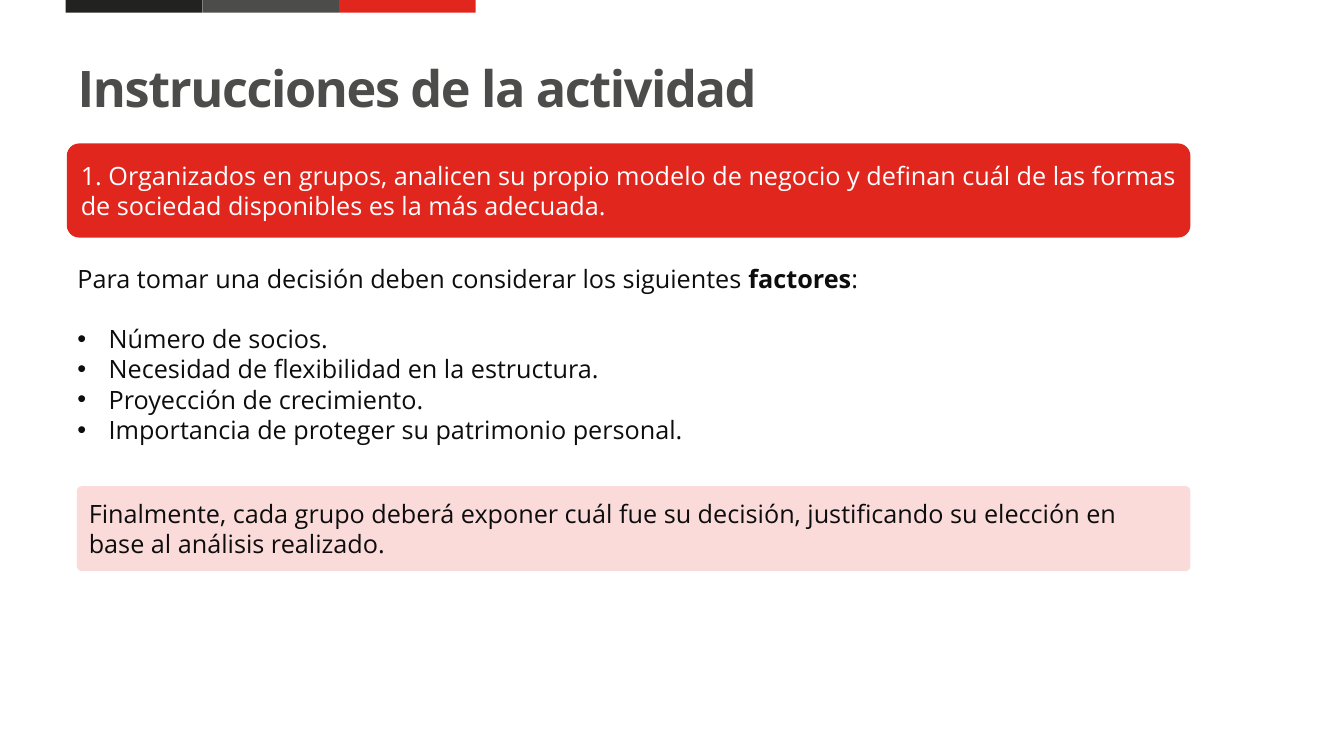
from lxml import etree
from pptx import Presentation
from pptx.dml.color import RGBColor
from pptx.enum.shapes import MSO_SHAPE
from pptx.enum.text import MSO_ANCHOR, MSO_AUTO_SIZE, PP_ALIGN
from pptx.oxml.ns import qn
from pptx.util import Inches, Pt

RECTANGLE, ROUNDED = MSO_SHAPE.RECTANGLE, MSO_SHAPE.ROUNDED_RECTANGLE
TOP, MIDDLE = MSO_ANCHOR.TOP, MSO_ANCHOR.MIDDLE
LEFT, JUSTIFY = PP_ALIGN.LEFT, PP_ALIGN.JUSTIFY
GROW = MSO_AUTO_SIZE.SHAPE_TO_FIT_TEXT

BLACK = RGBColor(0x22, 0x22, 0x20)
GRAY = RGBColor(0x4C, 0x4C, 0x4B)
RED = RGBColor(0xE1, 0x26, 0x1E)
PINK = RGBColor(0xFA, 0xDB, 0xDA)
INK = RGBColor(0x0D, 0x0D, 0x0D)
WHITE = RGBColor(0xFF, 0xFF, 0xFF)

WIDTH, HEIGHT = Inches(13.33), Inches(7.5)
COLUMNS, ROWS = 40, 60
MARGIN = 2.01


class ActivitySlide:
    font_name = "Open Sans"
    body_size = 18

    def __init__(self, presentation):
        self.slide = presentation.slides.add_slide(presentation.slide_layouts[5])

    def area(self, column, row, columns, rows):
        """Turn grid columns and rows into left, top, width and height."""
        across, down = WIDTH / COLUMNS, HEIGHT / ROWS
        return (round(column * across), round(row * down),
                round(columns * across), round(rows * down))

    def style(self, paragraph, color, size=body_size, align=LEFT, bold=False):
        paragraph.alignment = align
        for run in paragraph.runs:
            font = run.font
            font.name, font.size, font.bold = self.font_name, Pt(size), bold
            font.color.rgb = color

    def title(self, text, *cells):
        heading = self.slide.shapes.title
        heading.left, heading.top, heading.width, heading.height = self.area(*cells)
        frame = heading.text_frame
        frame.text = text
        frame.word_wrap, frame.auto_size = True, GROW
        frame.vertical_anchor = TOP
        line = frame.paragraphs[0]
        line.line_spacing = Pt(42)
        self.style(line, GRAY, size=36, bold=True)
        line.runs[0].font._element.set("spc", "-100")

    def block(self, kind, fill, *cells):
        shape = self.slide.shapes.add_shape(kind, *self.area(*cells))
        shape.shadow.inherit = False
        shape.fill.solid()
        shape.fill.fore_color.rgb = fill
        shape.line.fill.background()
        return shape

    def panel(self, text, fill, color, align, corner, *cells):
        shape = self.block(ROUNDED, fill, *cells)
        shape.adjustments[0] = corner
        shape.line.color.rgb = fill
        shape.line.width = Pt(1)
        frame = shape.text_frame
        frame.text = text
        frame.word_wrap, frame.vertical_anchor = True, MIDDLE
        self.style(frame.paragraphs[0], color, align=align)

    def bullet(self, paragraph):
        properties = paragraph._p.get_or_add_pPr()
        indent = Inches(0.31)
        properties.set("marL", str(indent))
        properties.set("indent", str(-indent))
        etree.SubElement(properties, qn("a:buFont")).set("typeface", "Arial")
        etree.SubElement(properties, qn("a:buChar")).set("char", "•")

    def factor_list(self, intro, factors, *cells):
        frame = self.slide.shapes.add_textbox(*self.area(*cells)).text_frame
        frame.word_wrap, frame.auto_size = True, GROW
        lead = frame.paragraphs[0]
        for part in intro:
            lead.add_run().text = part
        lead.space_after = Pt(21.6)
        self.style(lead, INK, align=JUSTIFY)
        lead.runs[1].font.bold = True
        for factor in factors:
            item = frame.add_paragraph()
            item.text = factor
            self.bullet(item)
            self.style(item, INK, align=JUSTIFY)


def main():
    presentation = Presentation()
    presentation.slide_width, presentation.slide_height = WIDTH, HEIGHT
    activity = ActivitySlide(presentation)

    # Colour band at the top edge
    stripe = 4.07
    for index, color in enumerate((BLACK, GRAY, RED)):
        activity.block(RECTANGLE, color, 1.95 + index * stripe, 0, stripe, 1)

    # Title
    activity.title("Instrucciones de la actividad", MARGIN, 4.24, 26.14, 5.52)

    # Task
    activity.panel(
        "1. Organizados en grupos, analicen su propio modelo de negocio y definan "
        "cuál de las formas de sociedad disponibles es la más adecuada.",
        RED, WHITE, JUSTIFY, 0.126, MARGIN, 11.44, 33.4, 7.36)

    # Factors to weigh
    activity.factor_list(
        ("Para tomar una decisión deben considerar los siguientes ", "factores", ":"),
        ("Número de socios.",
         "Necesidad de flexibilidad en la estructura.",
         "Proyección de crecimiento.",
         "Importancia de proteger su patrimonio personal."),
        MARGIN, 20.48, 27.16, 15.36)

    # Closing instruction
    activity.panel(
        "Finalmente, cada grupo deberá exponer cuál fue su decisión, justificando "
        "su elección en base al análisis realizado.",
        PINK, INK, LEFT, 0.054, 2.31, 38.64, 33.1, 6.64)

    presentation.save("out.pptx")


if __name__ == "__main__":
    main()
